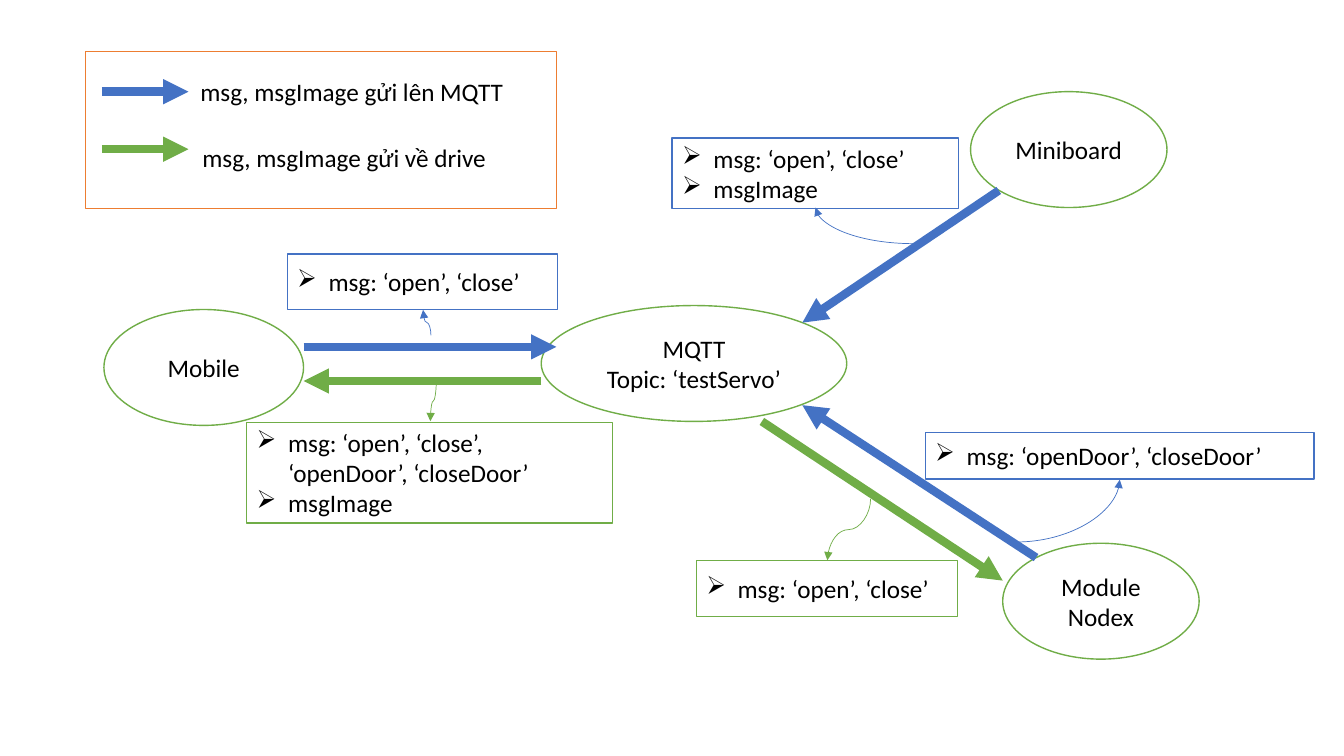
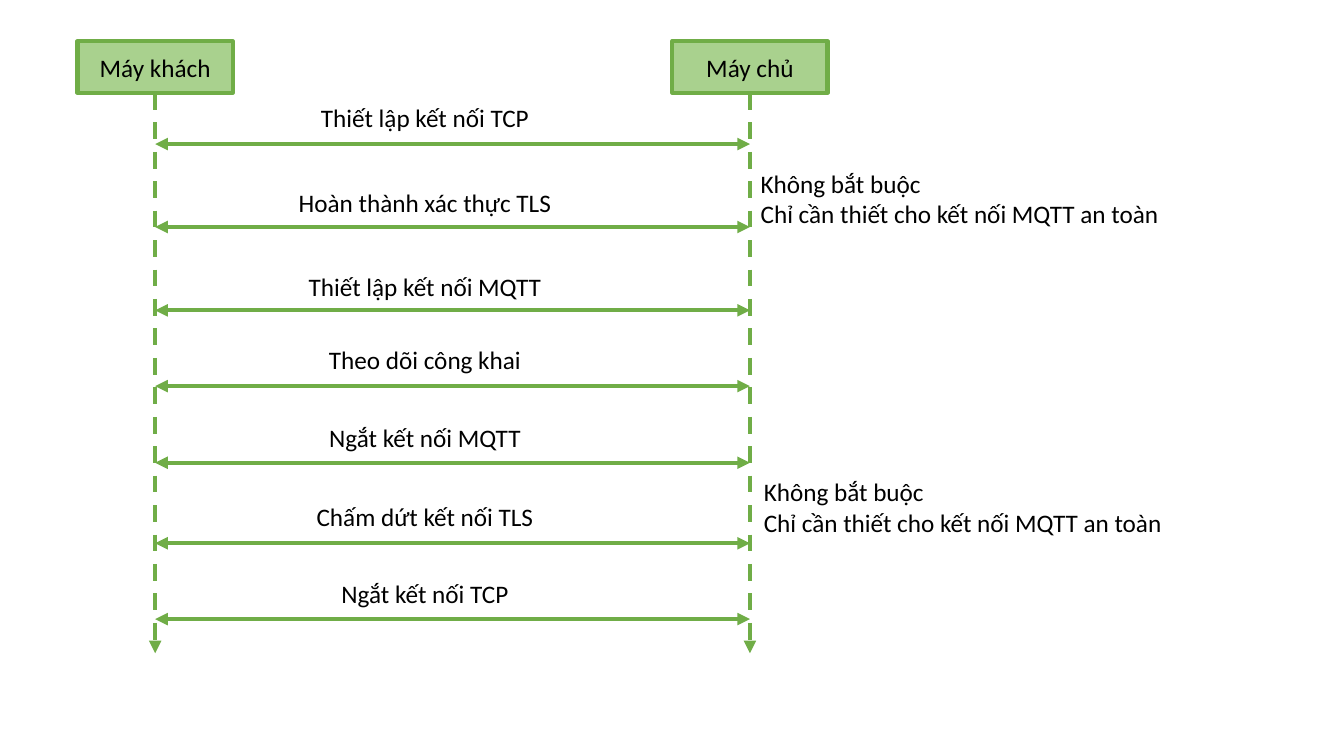
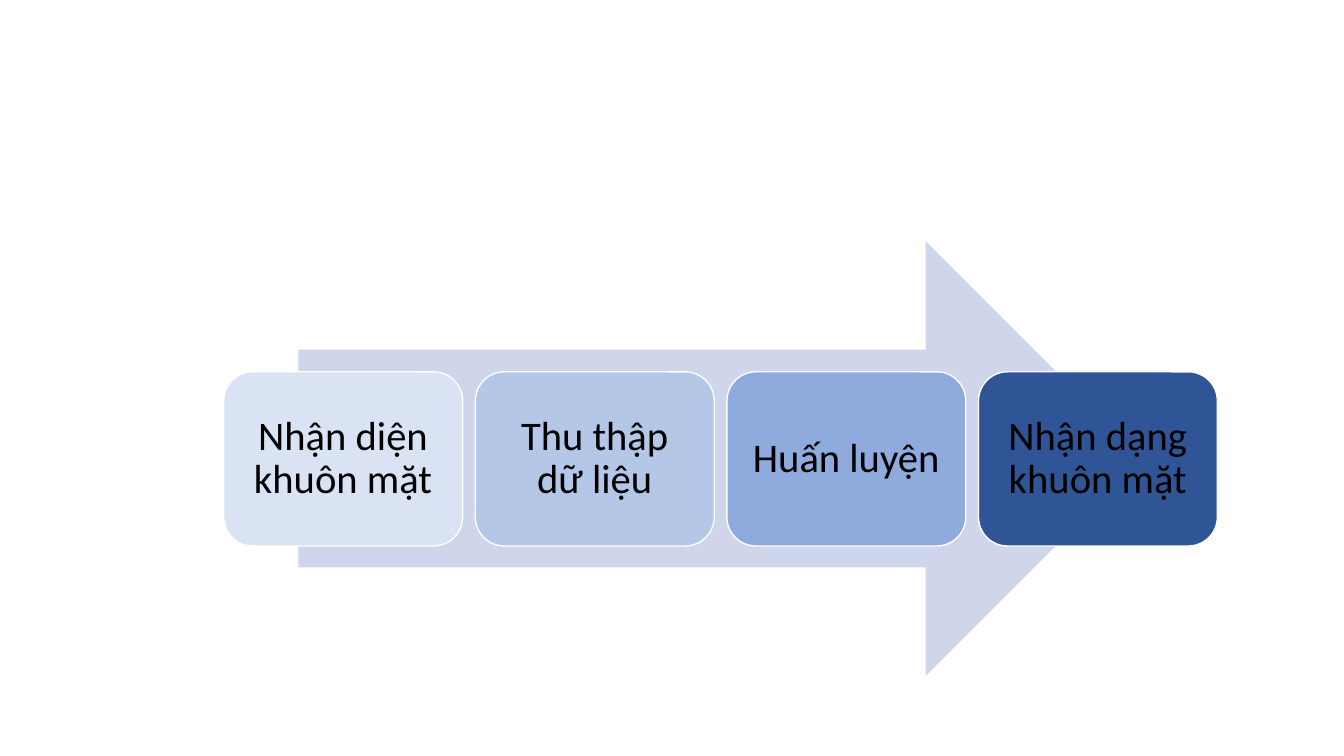
"""Three diagrams: MQTT topic messages, MQTT session and face recognition steps."""
from lxml import etree
from pptx import Presentation
from pptx import util as u
from pptx.dml.color import RGBColor
from pptx.enum import dml, shapes, text
from pptx.oxml.ns import qn

BLACK = RGBColor(0x00, 0x00, 0x00)
WHITE = RGBColor(0xFF, 0xFF, 0xFF)
BLUE = RGBColor(0x44, 0x72, 0xC4)
GREEN = RGBColor(0x70, 0xAD, 0x47)
ORANGE = RGBColor(0xED, 0x7D, 0x31)
LIGHT_GREEN = RGBColor(0xA9, 0xD1, 0x8E)
PALE_BLUE = RGBColor(0xCF, 0xD5, 0xEA)
STEP_BLUES = (RGBColor(0xDA, 0xE3, 0xF3), RGBColor(0xB4, 0xC7, 0xE7),
              RGBColor(0x8F, 0xAA, 0xDC), RGBColor(0x2F, 0x55, 0x97))

LEFT, CENTER = text.PP_ALIGN.LEFT, text.PP_ALIGN.CENTER
BODY = {"name": "Calibri", "size": u.Pt(18)}
STEP = {"name": "Calibri", "size": u.Pt(29)}
CARD_FRAME = {f"margin_{side}": u.Cm(0.3) for side in ("left", "right", "top", "bottom")}
OPEN_CLOSE = "msg: ‘open’, ‘close’"
DOOR = "‘openDoor’, ‘closeDoor’"


def cm(*lengths):
    """Convert numbers to centimetre lengths."""
    return [u.Cm(length) for length in lengths]


def apply(target, values):
    """Set every named attribute of the target."""
    for name, value in values.items():
        setattr(target, name, value)


def add_bullet(paragraph):
    """Give the paragraph a hanging arrowhead bullet."""
    properties = paragraph._p.get_or_add_pPr()
    properties.set("marL", str(u.Cm(0.79)))
    properties.set("indent", str(-u.Cm(0.79)))
    etree.SubElement(properties, qn("a:buChar")).set("char", "➢")


def write(frame, lines, align=CENTER, font=BODY, bullets=False, spacing=None):
    """Fill a text frame with one paragraph per line."""
    frame.word_wrap = True
    for index, line in enumerate(lines):
        paragraph = frame.add_paragraph() if index else frame.paragraphs[0]
        apply(paragraph, {"text": line, "alignment": align, "line_spacing": spacing})
        apply(paragraph.font, font)
        paragraph.font.color.rgb = BLACK
        if bullets:
            add_bullet(paragraph)


def add_box(slide, kind, box, fill, outline=None, width=1, lines=(), **style):
    """Add a filled preset shape with optional outline and text."""
    shape = slide.shapes.add_shape(kind, *cm(*box))
    shape.shadow.inherit = False
    shape.fill.solid()
    shape.fill.fore_color.rgb = fill
    if outline is None:
        shape.line.fill.background()
    else:
        shape.line.color.rgb = outline
        shape.line.width = u.Pt(width)
    shape.text_frame.vertical_anchor = text.MSO_ANCHOR.MIDDLE
    write(shape.text_frame, lines, **style)
    return shape


def add_label(slide, box, lines, align=LEFT):
    """Add plain text."""
    write(slide.shapes.add_textbox(*cm(*box)).text_frame, lines, align)


def style_arrow(connector, color, width, dashed=False, both=False):
    """Set colour, width, dash and arrowheads of a connector."""
    connector.line.color.rgb = color
    connector.line.width = u.Pt(width)
    if dashed:
        connector.line.dash_style = dml.MSO_LINE.DASH
    outline = connector.line._get_or_add_ln()
    for end in ("headEnd", "tailEnd") if both else ("tailEnd",):
        etree.SubElement(outline, qn(f"a:{end}")).set("type", "triangle")
    etree.SubElement(connector._element.spPr, qn("a:effectLst"))


def add_arrow(slide, ends, color, width, **style):
    """Add a straight arrow between two points."""
    arrow = slide.shapes.add_connector(shapes.MSO_CONNECTOR.STRAIGHT, *cm(*ends))
    style_arrow(arrow, color, width, **style)


def add_curve(slide, ends, turn, bends, color):
    """Add a thin curved arrow, turned about its centre."""
    curve = slide.shapes.add_connector(shapes.MSO_CONNECTOR.CURVE, *cm(*ends))
    properties = curve._element.spPr
    properties.find(qn("a:xfrm")).set("rot", str(turn * 60000))
    properties.find(qn("a:prstGeom")).set("prst", f"curvedConnector{bends}")
    style_arrow(curve, color, 0.5)


def draw_topic(slide):
    """Draw the devices around the MQTT topic and their messages."""
    for box, lines in (
            ((13.64, 7.7, 7.7, 2.92), ["MQTT", "Topic: ‘testServo’"]),
            ((24.46, 2.31, 4.95, 2.92), ["Miniboard"]),
            ((25.27, 13.69, 4.95, 2.92), ["Module Nodex"]),
            ((2.62, 7.8, 5.03, 2.92), ["Mobile"])):
        add_box(slide, shapes.MSO_SHAPE.OVAL, box, WHITE, GREEN, lines=lines)

    for ends, color in (
            ((25.17, 4.8, 20.22, 8.13), BLUE),
            ((7.65, 8.74, 14.02, 8.74), BLUE),
            ((26.11, 14.05, 20.22, 10.21), BLUE),
            ((13.64, 9.6, 7.65, 9.6), GREEN),
            ((19.2, 10.62, 25.27, 14.63), GREEN)):
        add_arrow(slide, ends, color, 6)

    for box, color, lines in (
            ((16.94, 3.48, 7.21, 1.78), BLUE, [OPEN_CLOSE, "msgImage"]),
            ((7.24, 6.4, 6.81, 1.4), BLUE, [OPEN_CLOSE]),
            ((23.32, 10.9, 9.8, 1.17), BLUE, [f"msg: {DOOR}"]),
            ((6.22, 10.64, 9.22, 2.54), GREEN, [f"{OPEN_CLOSE}, {DOOR}", "msgImage"]),
            ((17.55, 14.12, 6.58, 1.42), GREEN, [OPEN_CLOSE])):
        add_box(slide, shapes.MSO_SHAPE.RECTANGLE, box, WHITE, color,
                lines=lines, align=LEFT, bullets=True)

    for ends, turn, bends, color in (
            ((20.55, 5.23, 23.04, 6.14), 180, 2, BLUE),
            ((25.6, 13.66, 28.22, 12.09), 0, 2, BLUE),
            ((10.44, 8.23, 11.08, 8.03), 270, 3, BLUE),
            ((10.41, 10.03, 11.43, 10.18), 90, 3, GREEN),
            ((20.62, 12.8, 22.17, 13.89), 90, 3, GREEN)):
        add_curve(slide, ends, turn, bends, color)

    add_box(slide, shapes.MSO_SHAPE.RECTANGLE, (2.16, 1.3, 11.86, 3.96), WHITE, ORANGE)
    for y, color, left, top, meaning in (
            (2.31, BLUE, 4.8, 1.8, "msg, msgImage gửi lên MQTT"),
            (3.76, GREEN, 4.85, 3.45, "msg, msgImage gửi về drive")):
        add_arrow(slide, (2.57, y, 4.75, y), color, 6)
        add_label(slide, (left, top, 9.1, 1.02), [meaning])


def draw_session(slide):
    """Draw the message sequence between client and server."""
    client, server, header_width = 3.91, 18.9, 3.91
    for x, role in ((client, "Máy khách"), (server, "Máy chủ")):
        add_box(slide, shapes.MSO_SHAPE.RECTANGLE,
                (x - header_width / 2, 1.04, header_width, 1.3),
                LIGHT_GREEN, GREEN, 3, [role])
        add_arrow(slide, (x, 2.34, x, 16.46), GREEN, 3, dashed=True)

    for y, top, message in (
            (3.63, 2.46, "Thiết lập kết nối TCP"),
            (5.72, 4.6, "Hoàn thành xác thực TLS"),
            (7.82, 6.71, "Thiết lập kết nối MQTT"),
            (9.73, 8.56, "Theo dõi công khai"),
            (11.66, 10.52, "Ngắt kết nối MQTT"),
            (13.69, 12.5, "Chấm dứt kết nối TLS"),
            (15.6, 14.45, "Ngắt kết nối TCP")):
        add_arrow(slide, (client, y, server, y), GREEN, 3, both=True)
        add_label(slide, (6.81, top, 7.8, 1.02), [message], CENTER)

    for left, top in ((18.92, 4.11), (19, 11.89)):
        add_label(slide, (left, top, 11.66, 1.8),
                  ["Không bắt buộc", "Chỉ cần thiết cho kết nối MQTT an toàn"])


def draw_steps(slide):
    """Draw the recognition steps along a wide arrow."""
    add_box(slide, shapes.MSO_SHAPE.RIGHT_ARROW, (7.52, 6.07, 21.29, 10.97), PALE_BLUE)
    steps = ("Nhận diện khuôn mặt", "Thu thập dữ liệu", "Huấn luyện", "Nhận dạng khuôn mặt")
    for index, (step, fill) in enumerate(zip(steps, STEP_BLUES)):
        card = add_box(slide, shapes.MSO_SHAPE.ROUNDED_RECTANGLE,
                       (5.64 + index * 6.34, 9.37, 6.02, 4.39), fill, WHITE,
                       lines=[step], font=STEP, spacing=0.9)
        apply(card.text_frame, CARD_FRAME)


def main():
    """Build and save the presentation."""
    deck = Presentation()
    apply(deck, {"slide_width": u.Cm(33.87), "slide_height": u.Cm(19.05)})
    for draw in (draw_topic, draw_session, draw_steps):
        draw(deck.slides.add_slide(deck.slide_layouts[6]))
    deck.save("out.pptx")


main()
